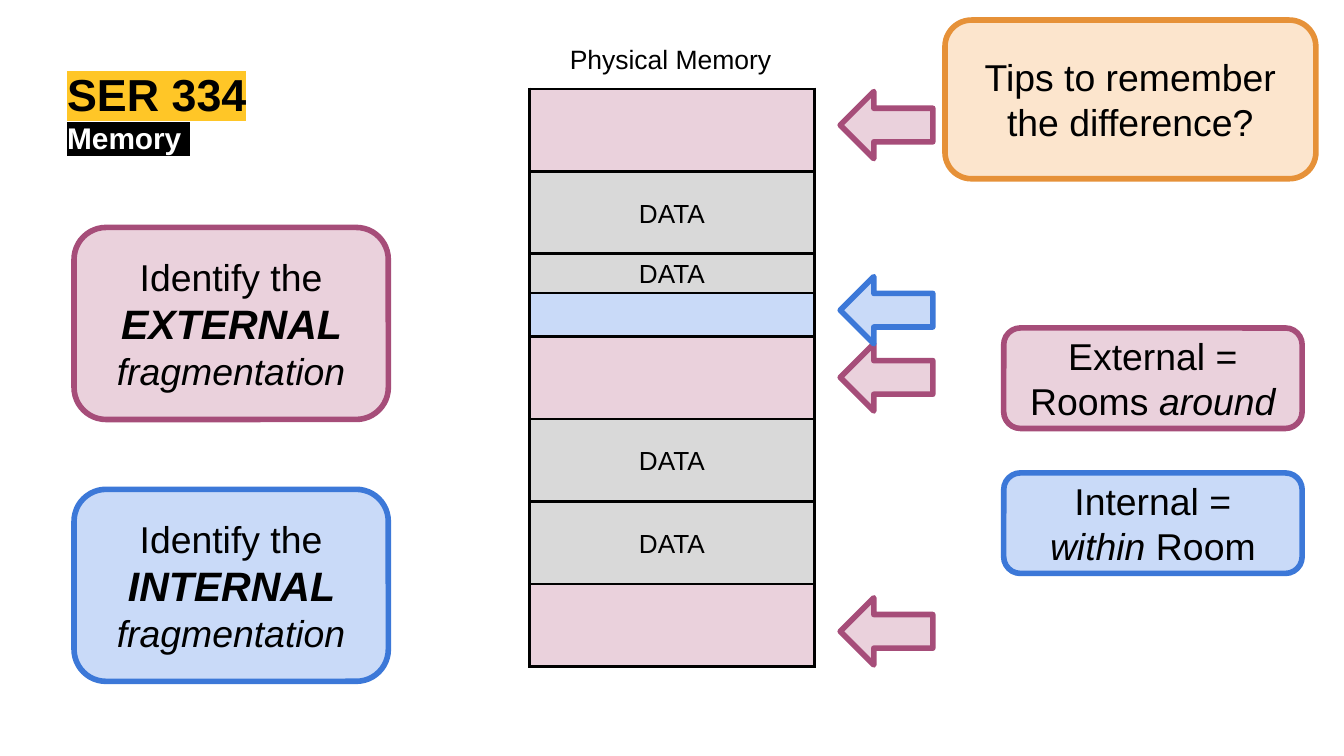
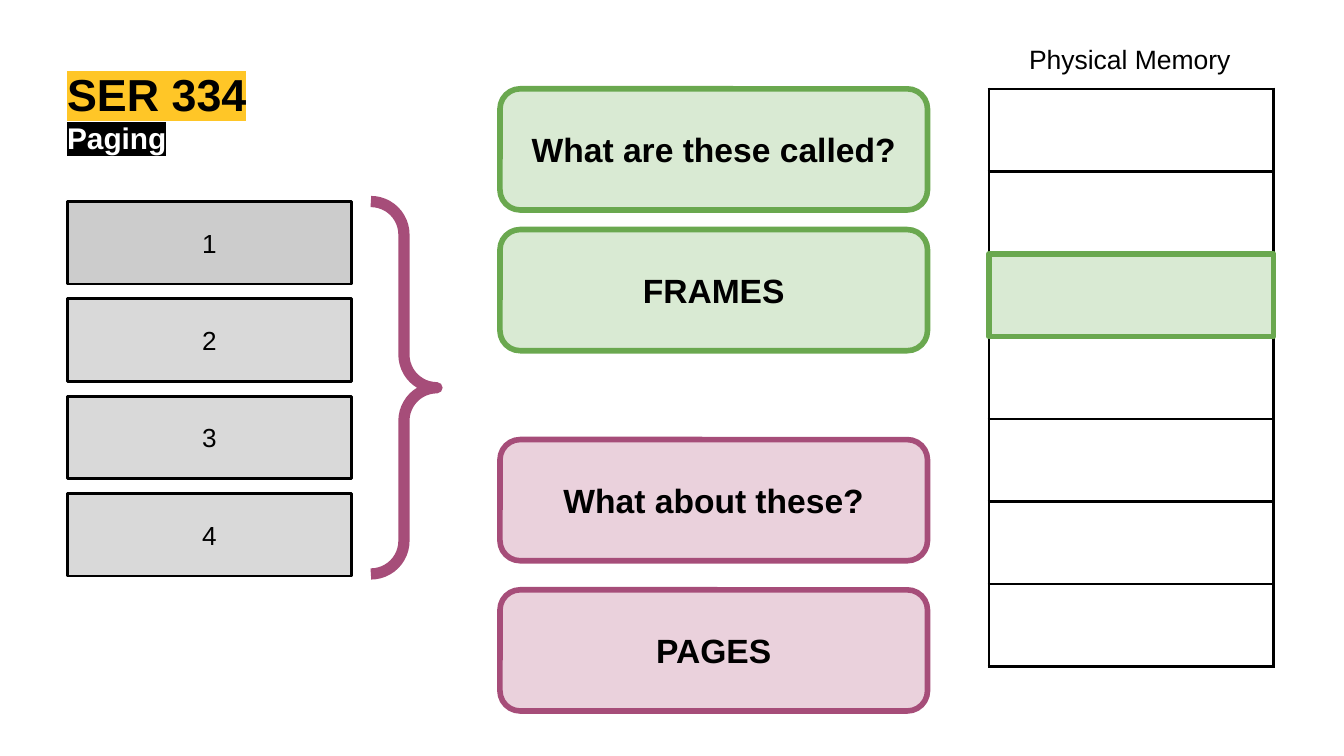
import pptx
import pptx.util
import pptx.dml.color
import pptx.enum.shapes
import pptx.enum.text
import pptx.oxml
import pptx.oxml.ns

Cm = pptx.util.Cm
Pt = pptx.util.Pt
RGBColor = pptx.dml.color.RGBColor
SHAPE = pptx.enum.shapes.MSO_SHAPE

BLACK = RGBColor(0x00, 0x00, 0x00)
WHITE = RGBColor(0xFF, 0xFF, 0xFF)
GOLD = RGBColor(0xFF, 0xC6, 0x27)
GREY = RGBColor(0xD9, 0xD9, 0xD9)
DARK_GREY = RGBColor(0xCC, 0xCC, 0xCC)
PINK = RGBColor(0xEA, 0xD1, 0xDC)
PLUM = RGBColor(0xA6, 0x4D, 0x79)
PALE_BLUE = RGBColor(0xC9, 0xDA, 0xF8)
BLUE = RGBColor(0x3C, 0x78, 0xD8)
PALE_GREEN = RGBColor(0xD9, 0xEA, 0xD3)
GREEN = RGBColor(0x6A, 0xA8, 0x4F)
PEACH = RGBColor(0xFC, 0xE5, 0xCD)
ORANGE = RGBColor(0xE6, 0x91, 0x38)

FONT = "Arial"
MARGIN = 1.27
INSET = 0.25
MEMORY_TOP = 1.68
ROW_HEIGHT = 1.56
ROW_COUNT = 7
BLOCK_WIDTH = 5.38
NAMESPACE = pptx.oxml.ns.nsdecls("a")


def write(frame, spans, inset=INSET, color=BLACK, highlight=None):
    """Fill a text frame with one paragraph of (text, size, style) spans; style holds "b" and "i"."""
    frame.margin_left = frame.margin_right = Cm(inset)
    frame.margin_top = frame.margin_bottom = Cm(inset)
    para = frame.paragraphs[0]
    for text, size, style in spans:
        span = para.add_run()
        span.text = text
        span.font.size = Pt(size)
        span.font.bold = "b" in style
        span.font.italic = "i" in style
        span.font.color.rgb = color
        if highlight is not None:
            span.font._element.append(pptx.oxml.parse_xml(
                f'<a:highlight {NAMESPACE}><a:srgbClr val="{highlight}"/></a:highlight>'))
        span.font.name = FONT
    return para


def add_box(page, kind, left, top, width, height, fill, edge, weight=3, spans=()):
    box = page.shapes.add_shape(kind, Cm(left), Cm(top), Cm(width), Cm(height))
    box.shadow.inherit = False
    if fill is None:
        box.fill.background()
    else:
        box.fill.solid()
        box.fill.fore_color.rgb = fill
    box.line.color.rgb = edge
    box.line.width = Pt(weight)
    box.text_frame.word_wrap = True
    box.text_frame.vertical_anchor = pptx.enum.text.MSO_ANCHOR.MIDDLE
    write(box.text_frame, spans).alignment = pptx.enum.text.PP_ALIGN.CENTER
    return box


deck = pptx.Presentation()
deck.slide_width = Cm(25.4)
deck.slide_height = Cm(14.29)

# Headings and the memory column that both slides share
FRAGMENT_LEFT = 10.01
FRAME_LEFT = 18.69
pages = []
for topic, memory_left, row_fills in (
    ("Memory ", FRAGMENT_LEFT, {0: PINK, 2: PALE_BLUE, 3: PINK, 6: PINK}),
    ("Paging", FRAME_LEFT, {}),
):
    page = deck.slides.add_slide(deck.slide_layouts[6])
    pages.append(page)

    for text, size, top, width, height, color, highlight in (
        ("SER 334", 24, 1.27, 12.32, 0.99, BLACK, GOLD),
        (topic, 16, 2.26, 16.54, 0.74, WHITE, BLACK),
    ):
        heading = page.shapes.add_textbox(Cm(MARGIN), Cm(top), Cm(width), Cm(height))
        heading.text_frame.word_wrap = True
        write(heading.text_frame, [(text, size, "b")], 0, color, highlight)

    label = page.shapes.add_textbox(Cm(memory_left + 0.51), Cm(0.56), Cm(4.34), Cm(1.12))
    label.text_frame.word_wrap = False
    write(label.text_frame, [("Physical Memory", 14.2, "")])

    memory = page.shapes.add_table(
        ROW_COUNT, 1, Cm(memory_left), Cm(MEMORY_TOP),
        Cm(BLOCK_WIDTH), Cm(ROW_HEIGHT * ROW_COUNT)).table
    memory.first_row = False
    memory.horz_banding = False
    for index, row in enumerate(memory.rows):
        row.height = Cm(ROW_HEIGHT)
        cell = row.cells[0]
        properties = cell._tc.get_or_add_tcPr()
        for side in "LRTB":
            properties.append(pptx.oxml.parse_xml(
                f'<a:ln{side} {NAMESPACE} w="{Pt(1.5)}"><a:solidFill>'
                f'<a:srgbClr val="{BLACK}"/></a:solidFill></a:ln{side}>'))
        if index in row_fills:
            cell.fill.solid()
            cell.fill.fore_color.rgb = row_fills[index]
        else:
            cell.fill.background()

fragmentation, paging = pages

# Slide 1: external and internal fragmentation
for row, height in ((2, 0.74), (1, ROW_HEIGHT), (5, ROW_HEIGHT), (4, ROW_HEIGHT)):
    add_box(fragmentation, SHAPE.RECTANGLE, FRAGMENT_LEFT, MEMORY_TOP + row * ROW_HEIGHT,
            BLOCK_WIDTH, height, GREY, BLACK, 1.5, [("DATA", 14, "")])

for top, fill, edge in ((1.73, PINK, PLUM), (6.5, PINK, PLUM),
                        (11.3, PINK, PLUM), (5.23, PALE_BLUE, BLUE)):
    add_box(fragmentation, SHAPE.LEFT_ARROW, 15.88, top, 1.75, 1.27, fill, edge)

for top, kind, fill, edge in ((4.3, "EXTERNAL ", PINK, PLUM),
                              (9.25, "INTERNAL ", PALE_BLUE, BLUE)):
    add_box(fragmentation, SHAPE.ROUNDED_RECTANGLE, 1.4, top, 5.94, 3.63, fill, edge,
            spans=[("Identify the ", 20, ""), (kind, 22, "bi"), ("fragmentation", 20, "i")])

add_box(fragmentation, SHAPE.ROUNDED_RECTANGLE, 17.86, 0.38, 7.01, 3, PEACH, ORANGE,
        spans=[("Tips to remember the difference?", 20, "")])

for top, fill, edge, spans in (
    (6.2, PINK, PLUM, [("External = Rooms ", 20, ""), ("around", 20, "i")]),
    (8.94, PALE_BLUE, BLUE,
     [("Internal = ", 20, ""), ("within", 20, "i"), (" Room", 20, "")]),
):
    add_box(fragmentation, SHAPE.ROUNDED_RECTANGLE, 18.97, top, 5.64, 1.9, fill, edge,
            spans=spans)

# Slide 2: pages on the left, frames on the right
PAGES_TOP = 3.81
for index in range(4):
    add_box(paging, SHAPE.RECTANGLE, MARGIN, PAGES_TOP + index * 1.84, BLOCK_WIDTH, ROW_HEIGHT,
            GREY if index else DARK_GREY, BLACK, 1.5, [(str(index + 1), 14, "")])

brace = add_box(paging, SHAPE.RIGHT_BRACE, 7.01, PAGES_TOP, 1.25, 7.04, None, PLUM, 6)
brace.adjustments[0] = 0.5

add_box(paging, SHAPE.RECTANGLE, FRAME_LEFT, MEMORY_TOP + 2 * ROW_HEIGHT,
        BLOCK_WIDTH, ROW_HEIGHT, PALE_GREEN, GREEN)

for top, text, fill, edge in (
    (1.68, "What are these called?", PALE_GREEN, GREEN),
    (4.34, "FRAMES", PALE_GREEN, GREEN),
    (8.31, "What about these?", PINK, PLUM),
    (11.15, "PAGES", PINK, PLUM),
):
    add_box(paging, SHAPE.ROUNDED_RECTANGLE, 9.45, top, 8.08, 2.29, fill, edge,
            spans=[(text, 18, "b")])

deck.save("out.pptx")
